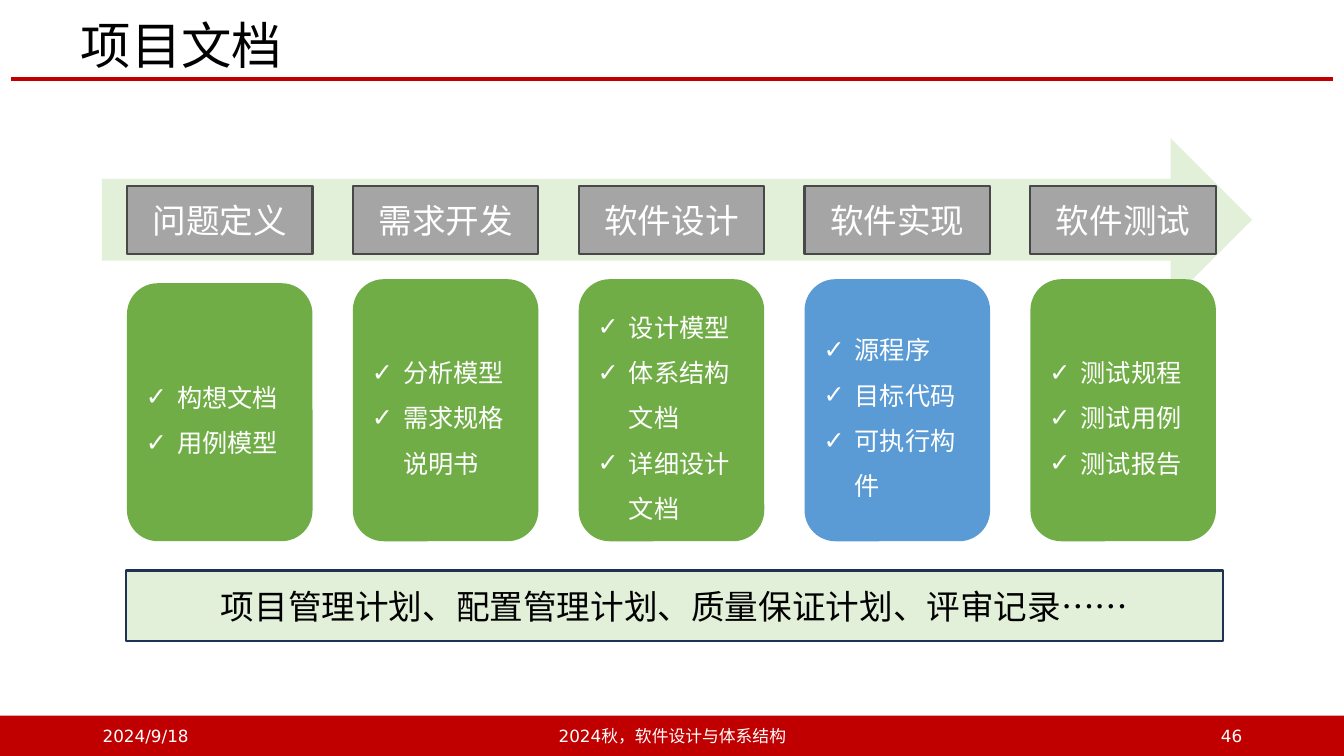
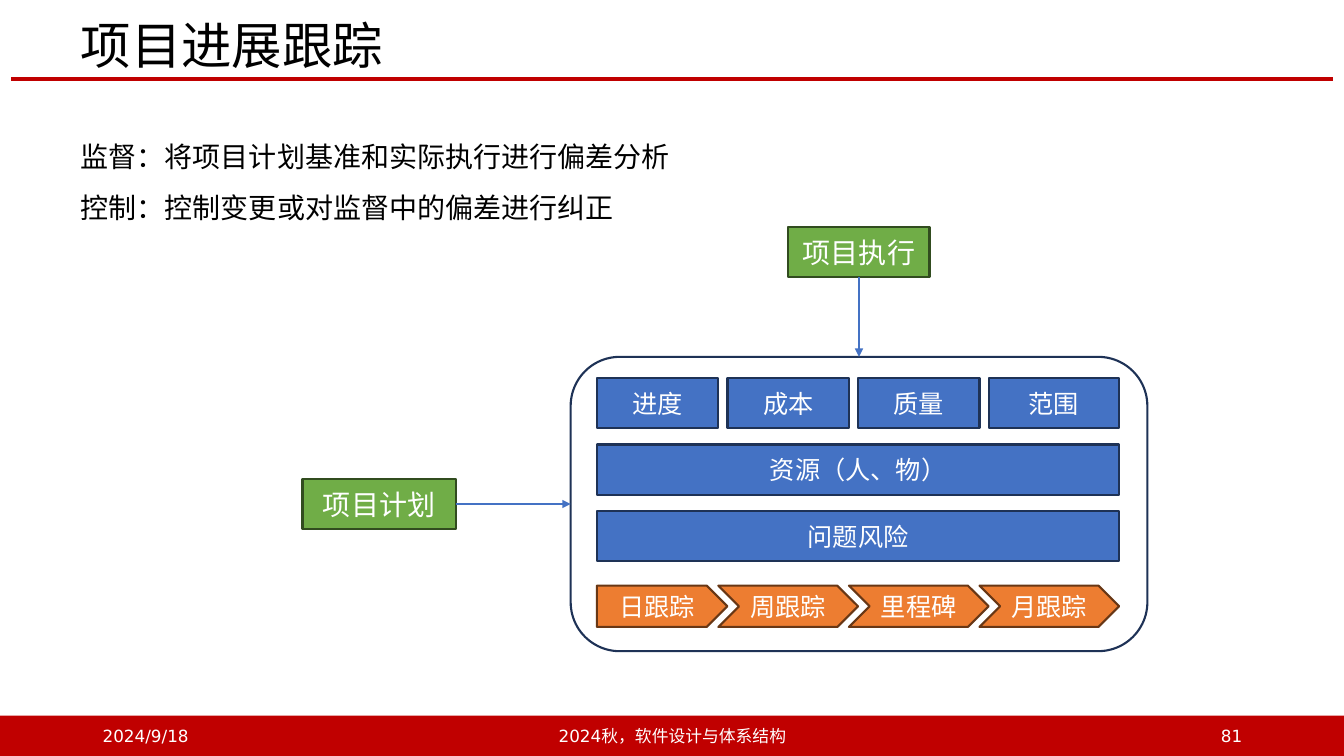
from dataclasses import dataclass

from lxml.etree import SubElement
from pptx import Presentation
from pptx.dml.color import RGBColor
from pptx.enum.shapes import MSO_CONNECTOR as Link, MSO_SHAPE as Kind
from pptx.enum.text import MSO_ANCHOR as Anchor, MSO_AUTO_SIZE as Fit, PP_ALIGN as Align
from pptx.oxml.ns import qn
from pptx.util import Inches, Pt


@dataclass(frozen=True)
class Theme:
    red: str = "C00000"
    white: str = "FFFFFF"
    black: str = "000000"
    pale: str = "E2F0D9"
    green: str = "70AD47"
    moss: str = "314C1F"
    grey: str = "A5A5A5"
    slate: str = "484848"
    sky: str = "5B9BD5"
    blue: str = "4472C4"
    navy: str = "1E3256"
    orange: str = "ED7D31"
    brown: str = "683715"
    head: int = 36
    large: int = 24
    mid: int = 20
    small: int = 18
    foot: int = 12
    rule: float = 3
    edge: float = 1.5
    sans: str = "DejaVu Sans"
    body: str = "Arial"
    han: str = "Noto Sans CJK SC"


T = Theme()
WIDE, HIGH = 13.33, 7.5


class Deck:
    def __init__(self):
        self.prs = Presentation()
        self.prs.slide_width = Inches(WIDE)
        self.prs.slide_height = Inches(HIGH)

    def start(self, title, page, layout):
        self.slide = self.prs.slides.add_slide(self.prs.slide_layouts[layout])
        head = self.place(self.slide.shapes.title, 0.7, 0.18, 11.71, 0.6)
        self.letter(head, [title], T.head, T.black, Align.LEFT, T.han, 0.9)
        self.line(T.red, T.rule, (0.11, 0.78), (13.22, 0.78))
        self.shape(Kind.RECTANGLE, 0, 7.1, WIDE, 0.4, T.red)
        self.note("2024/9/18", 0.92, 3, Align.LEFT)
        self.note("2024秋，软件设计与体系结构", 4.42, 4.5, Align.CENTER)
        self.note(page, 9.42, 3, Align.RIGHT)

    def place(self, item, x, y, w, h):
        item.left, item.top = Inches(x), Inches(y)
        item.width, item.height = Inches(w), Inches(h)
        return item

    def letter(self, item, lines, size, color, align=Align.CENTER, font=T.sans,
               space=1.0, mark=None, anchor=Anchor.MIDDLE):
        frame = item.text_frame
        frame.text = "\n".join(lines)
        frame.word_wrap = True
        frame.auto_size = Fit.NONE
        frame.vertical_anchor = anchor
        for para in frame.paragraphs:
            self.bullet(para, mark)
            para.alignment = align
            para.line_spacing = space
            para.space_before = Pt(0)
            for run in para.runs:
                run.font.size = Pt(size)
                run.font.name = font
                run.font.color.rgb = RGBColor.from_string(color)
                SubElement(run.font._element, qn("a:ea"), typeface=T.han)

    def bullet(self, para, mark):
        props = para._p.get_or_add_pPr()
        hang = Inches(0.31) if mark else 0
        props.set("marL", str(hang))
        props.set("indent", str(-hang))
        if mark:
            SubElement(props, qn("a:buFont"), typeface=T.sans)
            SubElement(props, qn("a:buChar"), char=mark)
        else:
            SubElement(props, qn("a:buNone"))

    def shape(self, kind, x, y, w, h, fill=None, edge=None):
        item = self.slide.shapes.add_shape(
            kind, Inches(x), Inches(y), Inches(w), Inches(h))
        item.shadow.inherit = False
        if fill:
            item.fill.solid()
            item.fill.fore_color.rgb = RGBColor.from_string(fill)
        else:
            item.fill.background()
        if edge:
            item.line.color.rgb = RGBColor.from_string(edge)
            item.line.width = Pt(T.edge)
        else:
            item.line.fill.background()
        return item

    def label(self, text, x, y, w, h, fill, edge, size=T.small,
              color=T.white, kind=Kind.RECTANGLE):
        item = self.shape(kind, x, y, w, h, fill, edge)
        self.letter(item, [text], size, color)
        return item

    def card(self, lines, x, y, w, h, fill):
        item = self.shape(Kind.ROUNDED_RECTANGLE, x, y, w, h, fill)
        self.letter(item, lines, T.small, T.white, Align.LEFT, space=1.5, mark="✓")

    def note(self, text, x, w, align):
        item = self.slide.shapes.add_textbox(
            Inches(x), Inches(7.1), Inches(w), Inches(0.4))
        self.letter(item, [text], T.foot, T.white, align)

    def prose(self, lines, x, y, w, h):
        item = self.place(self.slide.placeholders[1], x, y, w, h)
        self.letter(item, lines, T.mid, T.black, Align.LEFT, T.body, 1.5,
                    anchor=Anchor.TOP)

    def line(self, color, width, start=(0, 0), end=(0, 0)):
        item = self.slide.shapes.add_connector(
            Link.STRAIGHT, *(Inches(n) for n in start + end))
        item.line.color.rgb = RGBColor.from_string(color)
        item.line.width = Pt(width)
        SubElement(item._element.spPr, qn("a:effectLst"))
        return item

    def arrow(self, source, out, target, into):
        item = self.line(T.blue, T.edge)
        item.begin_connect(source, out)
        item.end_connect(target, into)
        SubElement(item._element.spPr.find(qn("a:ln")), qn("a:tailEnd"),
                   type="triangle")


def papers(deck):
    deck.start("项目文档", "46", 5)
    deck.shape(Kind.RIGHT_ARROW, 1.01, 1.37, 11.41, 1.62, T.pale)
    stages = [
        ("问题定义", ["构想文档", "用例模型"], T.green, 2.81),
        ("需求开发", ["分析模型", "需求规格说明书"], T.green, 2.77),
        ("软件设计", ["设计模型", "体系结构文档", "详细设计文档"], T.green, 2.77),
        ("软件实现", ["源程序", "目标代码", "可执行构件"], T.sky, 2.77),
        ("软件测试", ["测试规程", "测试用例", "测试报告"], T.green, 2.77),
    ]
    left, pitch, wide, base = 1.26, 2.24, 1.84, 5.37
    for i, (name, items, fill, top) in enumerate(stages):
        x = left + i * pitch
        deck.label(name, x, 1.85, wide, 0.67, T.grey, T.slate, T.large)
        deck.card(items, x, top, wide, base - top, fill)
    deck.label("项目管理计划、配置管理计划、质量保证计划、评审记录……",
               1.25, 5.66, 10.88, 0.7, T.pale, T.navy, T.large, T.black)


def track(deck):
    deck.start("项目进展跟踪", "81", 1)
    deck.prose(["监督：将项目计划基准和实际执行进行偏差分析",
                "控制：控制变更或对监督中的偏差进行纠正"], 0.7, 1.17, 6.51, 1.05)
    left, wide, gap = 5.92, 5.18, 0.09
    aims = ["进度", "成本", "质量", "范围"]
    steps = ["日跟踪", "周跟踪", "里程碑", "月跟踪"]
    pitch = wide / len(aims)
    for i, (aim, step) in enumerate(zip(aims, steps)):
        x = left + i * pitch
        trim = gap if i < len(aims) - 1 else 0
        deck.label(aim, x, 3.75, pitch - trim, 0.5, T.blue, T.navy)
        back = gap if i else 0
        kind = Kind.CHEVRON if i else Kind.PENTAGON
        deck.label(step, x - back, 5.81, pitch + back, 0.41,
                   T.orange, T.brown, kind=kind)
    for i, name in enumerate(["资源（人、物）", "问题风险"]):
        deck.label(name, left, 4.41 + i * 0.66, wide, 0.5, T.blue, T.navy)
    frame = deck.shape(Kind.ROUNDED_RECTANGLE, 5.66, 3.54, 5.72, 2.92, edge=T.navy)
    work = deck.label("项目执行", 7.82, 2.25, 1.4, 0.5, T.green, T.moss, T.mid)
    plan = deck.label("项目计划", 3, 4.75, 1.52, 0.5, T.green, T.moss, T.mid)
    deck.arrow(work, 2, frame, 0)
    deck.arrow(plan, 3, frame, 1)


def main():
    deck = Deck()
    papers(deck)
    track(deck)
    deck.prs.save("out.pptx")


if __name__ == "__main__":
    main()
